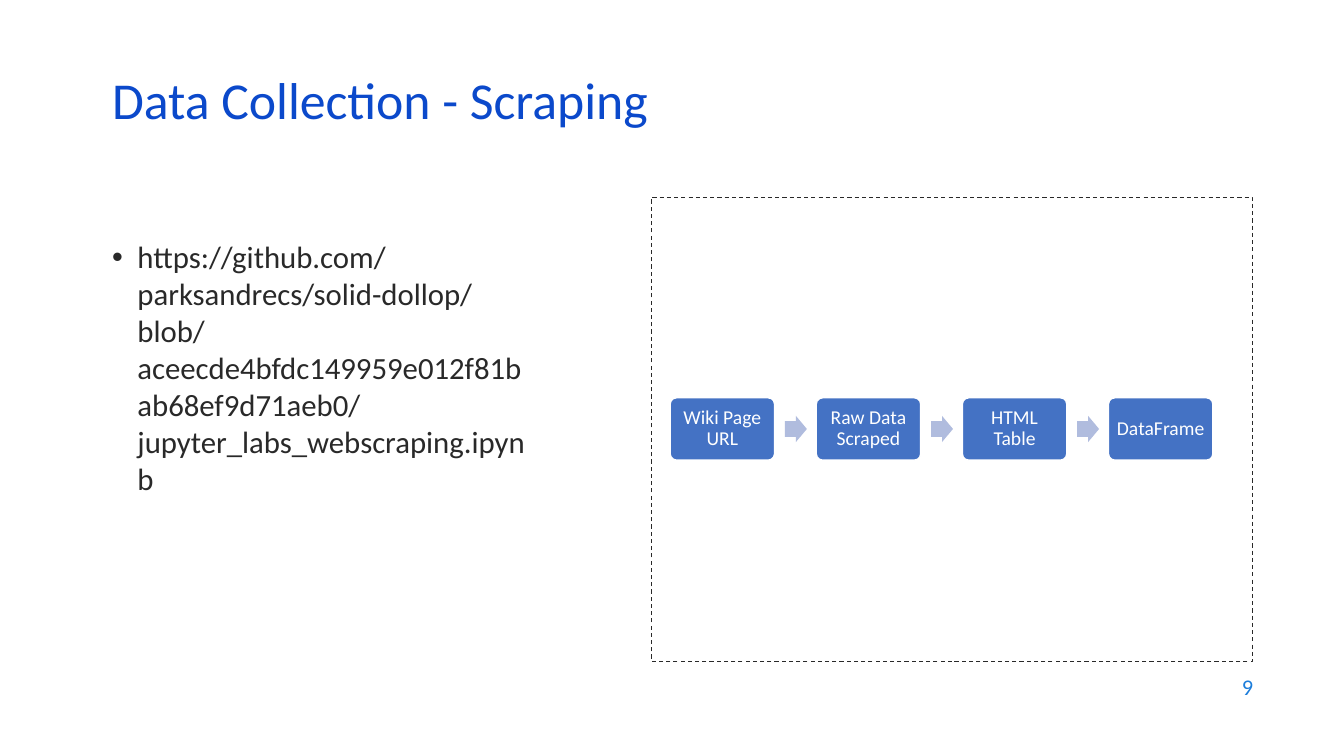
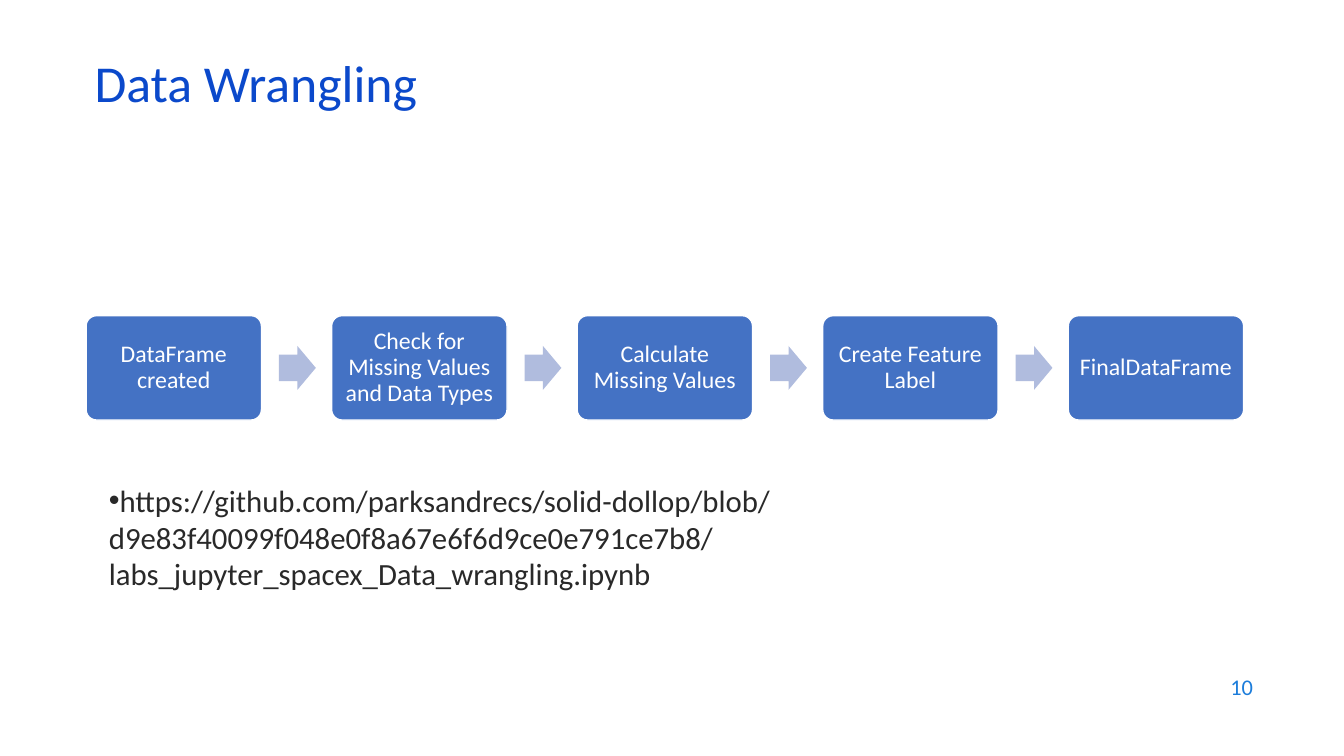
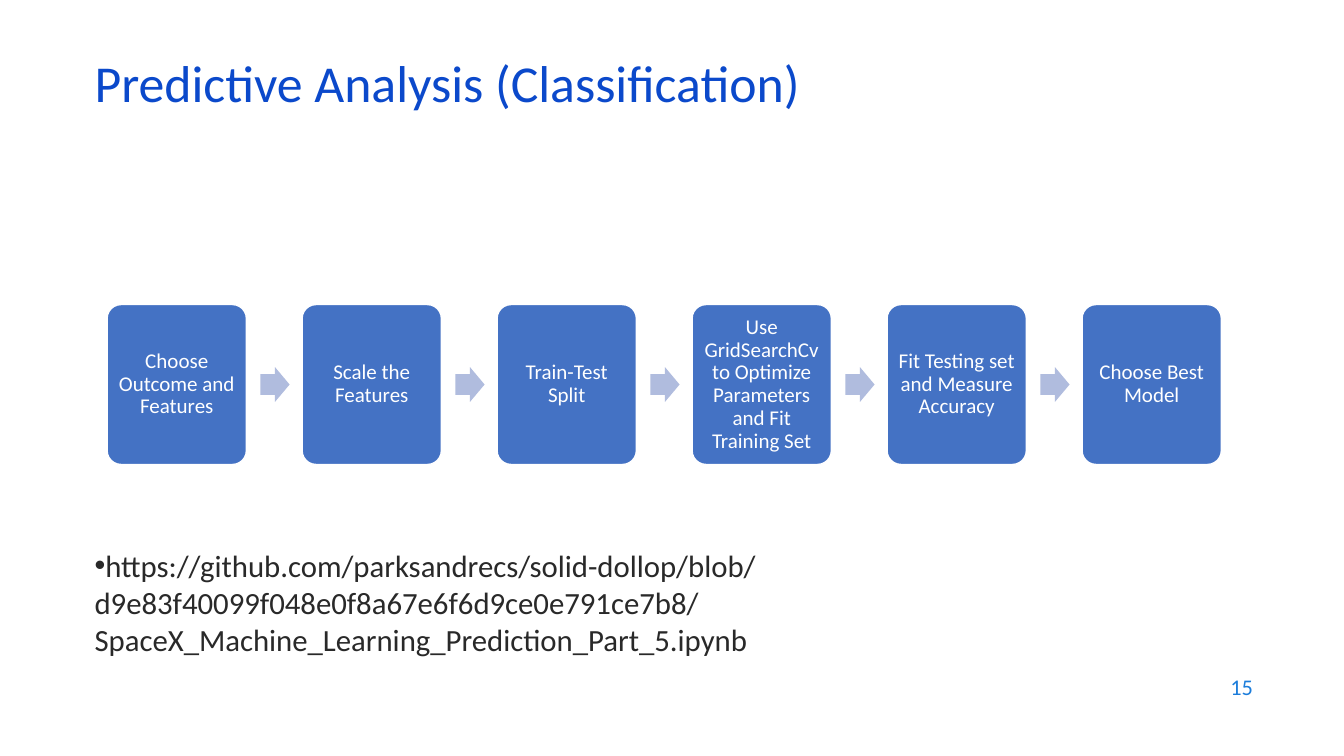
from pptx import Presentation
from pptx.dml.color import RGBColor
from pptx.enum.dml import MSO_LINE
from pptx.enum.shapes import MSO_SHAPE
from pptx.enum.text import MSO_ANCHOR, MSO_AUTO_SIZE, PP_ALIGN
from pptx.oxml.ns import qn
from pptx.util import Cm, Pt
from lxml.etree import SubElement

TITLE_BLUE = RGBColor(0x0B, 0x49, 0xCB)
NUMBER_BLUE = RGBColor(0x1C, 0x7D, 0xDB)
STEP_BLUE = RGBColor(0x44, 0x72, 0xC4)
ARROW_BLUE = RGBColor(0xB0, 0xBC, 0xDE)
INK = RGBColor(0x29, 0x29, 0x29)
WHITE = RGBColor(0xFF, 0xFF, 0xFF)
REPOSITORY = "https://github.com/parksandrecs/solid-dollop/blob/"

PAGES = [
    {
        "title": "Data Collection - Scraping",
        "title_at": (2.57, 1.93),
        "link": REPOSITORY + "aceecde4bfdc149959e012f81bab68ef9d71aeb0/jupyter_labs_webscraping.ipynb",
        "link_at": (2.57, 5.87, 10.92, 10.59),
        "hanging": 0.64,
        "number": "9",
        "frame": (16.41, 4.98, 15.16, 11.68),
        "steps": ["Wiki Page URL", "Raw Data Scraped", "HTML Table", "DataFrame"],
        "flow": (16.89, 10.81, 2.63, 1.57),
        "step_size": 14,
        "inset": 0.15,
    },
    {
        "title": "Data Wrangling",
        "title_at": (2.13, 1.5),
        "link": REPOSITORY + "d9e83f40099f048e0f8a67e6f6d9ce0e791ce7b8/labs_jupyter_spacex_Data_wrangling.ipynb",
        "link_at": (2.49, 12, 24.94, 4),
        "hanging": 0,
        "number": "10",
        "frame": None,
        "steps": ["DataFrame created", "Check for Missing Values and Data Types",
                  "Calculate Missing Values", "Create Feature Label", "FinalDataFrame"],
        "flow": (2.17, 9.27, 4.42, 2.63),
        "step_size": 17,
        "inset": 0.18,
    },
    {
        "title": "Predictive Analysis (Classification)",
        "title_at": (2.13, 1.5),
        "link": REPOSITORY + "d9e83f40099f048e0f8a67e6f6d9ce0e791ce7b8/SpaceX_Machine_Learning_Prediction_Part_5.ipynb",
        "link_at": (2.13, 13.64, 27.08, 3.5),
        "hanging": 0,
        "number": "15",
        "frame": None,
        "steps": ["Choose Outcome and Features", "Scale the Features", "Train-Test Split",
                  "Use GridSearchCv to Optimize Parameters and Fit Training Set",
                  "Fit Testing set and Measure Accuracy", "Choose Best Model"],
        "flow": (2.7, 9.69, 3.51, 4.03),
        "step_size": 15,
        "inset": 0.15,
    },
]


def write(shape, text, size, color, align, anchor, spacing=1.0):
    frame = shape.text_frame
    frame.text = text
    frame.word_wrap = True
    frame.auto_size = MSO_AUTO_SIZE.NONE
    frame.vertical_anchor = anchor
    para = frame.paragraphs[0]
    para.alignment = align
    para.line_spacing = spacing
    para.space_before = Pt(0)
    font = para.runs[0].font
    font.name = "Calibri"
    font.size = Pt(size)
    font.color.rgb = color
    return para


def add_block(slide, kind, left, top, width, height, fill):
    block = slide.shapes.add_shape(kind, Cm(left), Cm(top), Cm(width), Cm(height))
    block.shadow.inherit = False
    if fill is None:
        block.fill.background()
    else:
        block.fill.solid()
        block.fill.fore_color.rgb = fill
    return block


deck = Presentation()
deck.slide_width = Cm(33.87)
deck.slide_height = Cm(19.05)

for page in PAGES:
    slide = deck.slides.add_slide(deck.slide_layouts[1])

    title = slide.shapes.title
    title.left, title.top = (Cm(value) for value in page["title_at"])
    title.width, title.height = Cm(29.21), Cm(1.52)
    write(title, page["title"], 37, TITLE_BLUE, PP_ALIGN.LEFT, MSO_ANCHOR.MIDDLE, 0.7)

    body = slide.placeholders[1]
    body.left, body.top, body.width, body.height = (Cm(value) for value in page["link_at"])
    para = write(body, page["link"], 22, INK, PP_ALIGN.LEFT, MSO_ANCHOR.TOP)
    properties = para._p.get_or_add_pPr()
    properties.set("marL", str(Cm(page["hanging"])))
    properties.set("indent", str(-Cm(page["hanging"])))
    SubElement(properties, qn("a:buFont")).set("typeface", "Arial")
    SubElement(properties, qn("a:buChar")).set("char", "•")

    number = slide.shapes.add_textbox(Cm(24.21), Cm(16.74), Cm(7.62), Cm(1.12))
    write(number, page["number"], 16, NUMBER_BLUE, PP_ALIGN.RIGHT, MSO_ANCHOR.MIDDLE)

    if page["frame"]:
        border = add_block(slide, MSO_SHAPE.RECTANGLE, *page["frame"], None)
        border.line.color.rgb = INK
        border.line.width = Pt(0.75)
        border.line.dash_style = MSO_LINE.DASH

    left, middle, width, height = page["flow"]
    arrow_width, arrow_height = 0.21 * width, 0.25 * width
    for index, step in enumerate(page["steps"]):
        step_left = left + index * 1.4 * width
        box = add_block(slide, MSO_SHAPE.ROUNDED_RECTANGLE, step_left, middle - height / 2,
                        width, height, STEP_BLUE)
        box.adjustments[0] = 0.1
        box.line.color.rgb = WHITE
        box.line.width = Pt(1)
        text_frame = box.text_frame
        text_frame.margin_left = text_frame.margin_right = Cm(page["inset"])
        text_frame.margin_top = text_frame.margin_bottom = Cm(page["inset"])
        write(box, step, page["step_size"], WHITE, PP_ALIGN.CENTER, MSO_ANCHOR.MIDDLE, 0.9)
        if index < len(page["steps"]) - 1:
            arrow = add_block(slide, MSO_SHAPE.RIGHT_ARROW, step_left + 1.1 * width,
                              middle - arrow_height / 2, arrow_width, arrow_height, ARROW_BLUE)
            arrow.adjustments[0] = 0.6
            arrow.adjustments[1] = 0.5
            arrow.line.fill.background()

deck.save("out.pptx")
